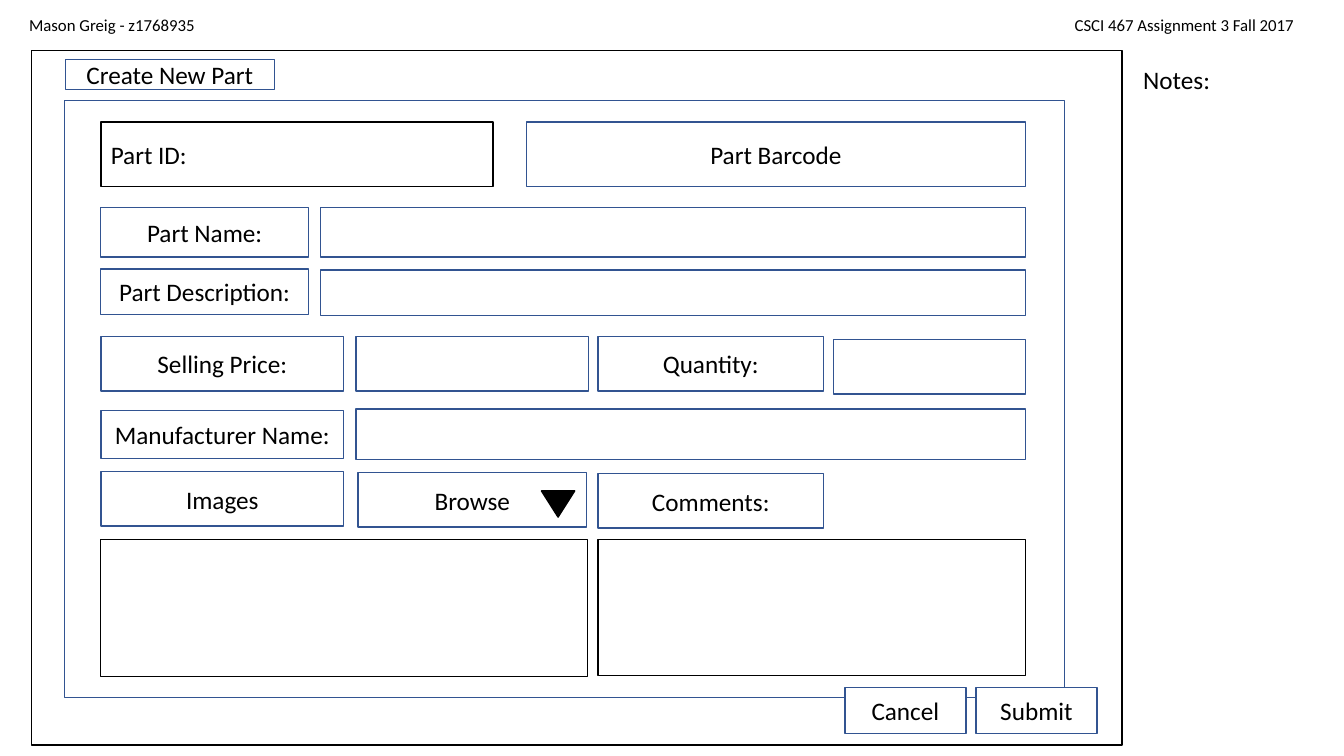
from pptx import Presentation
from pptx.dml.color import RGBColor
from pptx.enum.shapes import MSO_SHAPE
from pptx.enum.text import MSO_ANCHOR, MSO_AUTO_SIZE, PP_ALIGN
from pptx.util import Inches, Pt

RECT, ARROW = MSO_SHAPE.RECTANGLE, MSO_SHAPE.ISOSCELES_TRIANGLE
LEFT, MID = PP_ALIGN.LEFT, PP_ALIGN.CENTER
TOP, CENTER = MSO_ANCHOR.TOP, MSO_ANCHOR.MIDDLE
FIXED = MSO_AUTO_SIZE.NONE
BLACK = RGBColor(0x00, 0x00, 0x00)
WHITE = RGBColor(0xFF, 0xFF, 0xFF)
BLUE = RGBColor(0x32, 0x54, 0x91)

EDGE, RIGHT = 1, 10.17
GAP = 0.1
TITLE = ("Create New Part", (0.65, 0.59, 2.07, 0.3))
NOTES = [
    ("Mason Greig - z1768935", 12, (0.19, 0.1, 1.94, 0.5)),
    ("CSCI 467 Assignment 3 Fall 2017", 12, (10.56, 0.1, 2.54, 0.3)),
    ("Notes:", 18, (11.24, 0.59, 0.91, 0.4)),
]
FRAMES = [(BLACK, (0.31, 0.5, 10.82, 6.89)), (BLUE, (0.64, 1, 9.92, 5.92))]
PANELS = [
    ("Part ID:", (EDGE, 1.21, 3.89, 0.64)),
    ("", (EDGE, 5.35, 4.83, 1.36)),
    ("", (5.93, 5.35, RIGHT - 5.93, 1.35)),
]
LABELS = [
    ("Part Name:", EDGE, 2.06, 2.06, 0.49),
    ("Part Description:", EDGE, 2.67, 2.06, 0.45),
    ("Selling Price:", EDGE, 3.34, 2.41, 0.54),
    ("Manufacturer Name:", EDGE, 4.07, 2.41, 0.48),
    ("Images", EDGE, 4.68, 2.41, 0.54),
    ("Quantity:", 5.93, 3.34, 2.24, 0.54),
    ("Comments:", 5.93, 4.7, 2.24, 0.54),
    ("Browse", 3.55, 4.69, 2.27, 0.54),
    ("", 3.53, 3.34, 2.31, 0.54),
]
FIELDS = [
    ("Part Barcode", 5.22, 1.21, 0.64),
    ("", 3.18, 2.06, 0.49),
    ("", 3.18, 2.68, 0.45),
    ("", 8.27, 3.37, 0.54),
    ("", 3.53, 4.06, 0.5),
]
BUTTONS = ["Cancel", "Submit"]
START, BASE, WIDE, HIGH = 8.38, 6.82, 1.2, 0.46
MARK = (5.37, 4.87, 0.33, 0.26)


def write(shape, text, size=18, align=MID, anchor=CENTER):
    """Put formatted text in a shape."""
    frame = shape.text_frame
    frame.text = text
    look = {"word_wrap": True, "auto_size": FIXED, "vertical_anchor": anchor}
    for name, value in look.items():
        setattr(frame, name, value)
    para = frame.paragraphs[0]
    para.alignment = align
    font = para.font
    for name, value in {"name": "Calibri", "size": Pt(size)}.items():
        setattr(font, name, value)
    font.color.rgb = BLACK


def paint(shape, line=BLUE, fill=WHITE):
    """Set the fill and outline of a shape."""
    shape.fill.solid()
    shape.fill.fore_color.rgb = fill
    shape.line.color.rgb = line
    shape.line.width = Pt(1)


def draw(slide, box, text="", line=BLUE, fill=WHITE, align=MID, kind=RECT):
    """Add one outlined shape with optional text."""
    shape = slide.shapes.add_shape(kind, *map(Inches, box))
    shape.shadow.inherit = False
    paint(shape, line, fill)
    if text:
        write(shape, text, align=align)
    return shape


def head(slide):
    """Place the title in front of the frames."""
    text, box = TITLE
    title = slide.shapes.title
    slide.shapes.element.append(title.element)
    title.left, title.top, title.width, title.height = map(Inches, box)
    paint(title)
    write(title, text)


def main():
    """Build the part form slide."""
    deck = Presentation()
    deck.slide_width, deck.slide_height = Inches(13.33), Inches(7.5)
    slide = deck.slides.add_slide(deck.slide_layouts[5])

    for text, size, box in NOTES:
        note = slide.shapes.add_textbox(*map(Inches, box))
        write(note, text, size, LEFT, TOP)
    for line, box in FRAMES:
        draw(slide, box, line=line)
    head(slide)
    for text, box in PANELS:
        draw(slide, box, text, BLACK, align=LEFT)
    for text, *box in LABELS:
        draw(slide, box, text)
    for text, left, top, high in FIELDS:
        draw(slide, (left, top, RIGHT - left, high), text)
    for i, text in enumerate(BUTTONS):
        draw(slide, (START + i * (WIDE + GAP), BASE, WIDE, HIGH), text)
    mark = draw(slide, MARK, line=BLACK, fill=BLACK, kind=ARROW)
    mark.rotation = 180

    deck.save("out.pptx")


if __name__ == "__main__":
    main()
